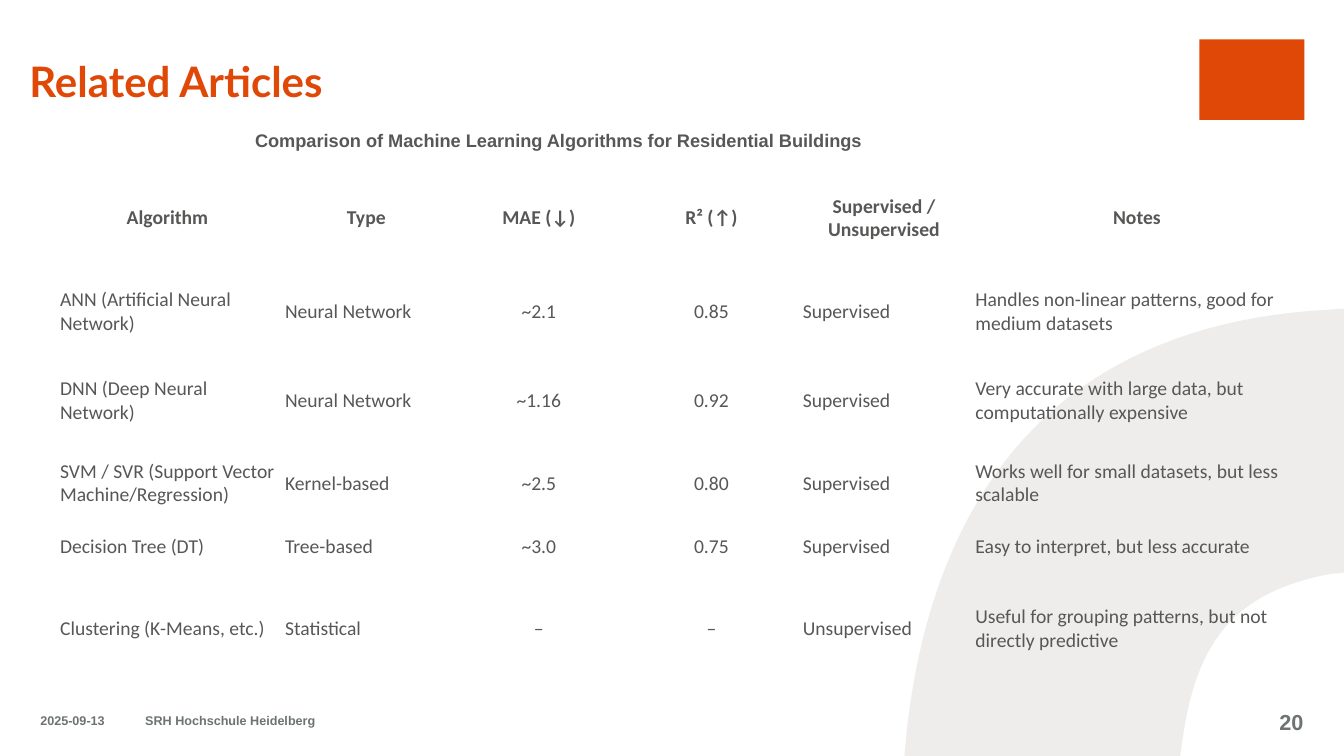
from pptx import Presentation
from pptx.dml.color import RGBColor
from pptx.enum.shapes import MSO_SHAPE
from pptx.enum.text import MSO_ANCHOR, PP_ALIGN
from pptx.util import Pt

BAR = MSO_SHAPE.RECTANGLE
TOP, MID, LOW = MSO_ANCHOR.TOP, MSO_ANCHOR.MIDDLE, MSO_ANCHOR.BOTTOM
LEFT, MIDST, RIGHT = PP_ALIGN.LEFT, PP_ALIGN.CENTER, PP_ALIGN.RIGHT

# Content
TITLE = "Related Articles"
ROWS = [
    ("Algorithm", "Type", "MAE (↓)", "R² (↑)", "Supervised / Unsupervised", "Notes"),
    ("ANN (Artificial Neural Network)", "Neural Network", "~2.1", "0.85",
     "Supervised", "Handles non-linear patterns, good for medium datasets"),
    ("DNN (Deep Neural Network)", "Neural Network", "~1.16", "0.92",
     "Supervised", "Very accurate with large data, but computationally expensive"),
    ("SVM / SVR (Support Vector Machine/Regression)", "Kernel-based", "~2.5", "0.80",
     "Supervised", "Works well for small datasets, but less scalable"),
    ("Decision Tree (DT)", "Tree-based", "~3.0", "0.75",
     "Supervised", "Easy to interpret, but less accurate"),
    ("Clustering (K-Means, etc.)", "Statistical", "–", "–",
     "Unsupervised", "Useful for grouping patterns, but not directly predictive"),
]
WIDTHS = [160.7, 123.3, 123.3, 123.3, 123.3, 238.1]
HEIGHTS = [74.2, 59, 68.4, 49.7, 40.3, 77]
NUMBERS = (2, 3)

ORANGE, GRAY, SLATE, PALE = "DF4807", "575756", "6D7373", "EEEDEB"

# text, left, top, width, height, size, colour, alignment, anchor
LABELS = [
    ("Comparison of Machine Learning Algorithms for Residential Buildings",
     182.2, 92.2, 454, 36, 13, GRAY, LEFT, TOP),
    ("2025-09-13", 28.8, 500.4, 69, 28.8, 9, SLATE, LEFT, MID),
    ("SRH Hochschule Heidelberg", 103.7, 500.4, 511, 28.8, 9, SLATE, LEFT, MID),
    ("20", 877.7, 501.1, 53.3, 28.8, 15.5, SLATE, RIGHT, MID),
]

# Cubic curves of the arch: start, two handles, end
OUTER = [(648, 519), (669, 341), (765, 230), (952, 221)]
INNER = [(950, 410), (881, 423), (855, 459), (845, 526)]
NO_GRID = "{2D5ABB26-0587-4C30-8999-92F81FD0307C}"


def color(code):
    return RGBColor.from_string(code)


def curve(ends, steps=40):
    a, b, c, d = ends
    for i in range(steps + 1):
        t = i / steps
        u = 1 - t
        yield tuple(u**3 * p + 3 * u * u * t * q + 3 * u * t * t * r + t**3 * s
                    for p, q, r, s in zip(a, b, c, d))


def paint(shape, code):
    shape.fill.solid()
    shape.fill.fore_color.rgb = color(code)
    shape.line.fill.background()
    shape.shadow.inherit = False


def write(frame, text, face, size, code, bold, align):
    frame.text = text
    frame.word_wrap = True
    para = frame.paragraphs[0]
    para.alignment = align
    font = para.runs[0].font
    font.name, font.size, font.bold = face, Pt(size), bold
    font.color.rgb = color(code)


def trim(frame, anchor):
    frame.margin_left = frame.margin_right = 0
    frame.margin_top = frame.margin_bottom = 0
    frame.vertical_anchor = anchor


deck = Presentation()
deck.slide_width, deck.slide_height = Pt(960), Pt(540)
slide = deck.slides.add_slide(deck.slide_layouts[5])
shapes = slide.shapes

# Plain mark at top right and pale arch
paint(shapes.add_shape(BAR, Pt(856.8), Pt(28.1), Pt(74.9), Pt(57.6)), ORANGE)

edge = [*curve(OUTER), (960, 220.5), (960, 409), *curve(INNER), (843, 540)]
build = shapes.build_freeform(Pt(646), Pt(540))
build.add_line_segments([(Pt(x), Pt(y)) for x, y in edge], close=True)
paint(build.convert_to_shape(), PALE)

# Title
title = shapes.title
title.left, title.top, title.width, title.height = Pt(21), Pt(23), Pt(721), Pt(52.6)
write(title.text_frame, TITLE, "Lato", 30, ORANGE, True, LEFT)
trim(title.text_frame, LOW)

# Caption and footer
for text, x, y, w, h, size, code, align, anchor in LABELS:
    frame = shapes.add_textbox(Pt(x), Pt(y), Pt(w), Pt(h)).text_frame
    write(frame, text, "Arial", size, code, True, align)
    trim(frame, anchor)

# Table
holder = shapes.add_table(len(ROWS), len(WIDTHS), Pt(39.3), Pt(118.8),
                          Pt(sum(WIDTHS)), Pt(sum(HEIGHTS)))
table = holder.table
table.horz_banding = False
style = table._tbl.tblPr.find("{*}tableStyleId")
style.text = NO_GRID
for col, width in zip(table.columns, WIDTHS):
    col.width = Pt(width)
for row, height in zip(table.rows, HEIGHTS):
    row.height = Pt(height)
for i, row in enumerate(ROWS):
    for j, text in enumerate(row):
        cell = table.cell(i, j)
        cell.fill.background()
        cell.vertical_anchor = MID
        cell.margin_left = cell.margin_right = Pt(3.6)
        cell.margin_top = cell.margin_bottom = Pt(1.8)
        head = i == 0
        align = MIDST if head or j in NUMBERS else LEFT
        write(cell.text_frame, text, "Calibri", 14, GRAY, head, align)

deck.save("out.pptx")
